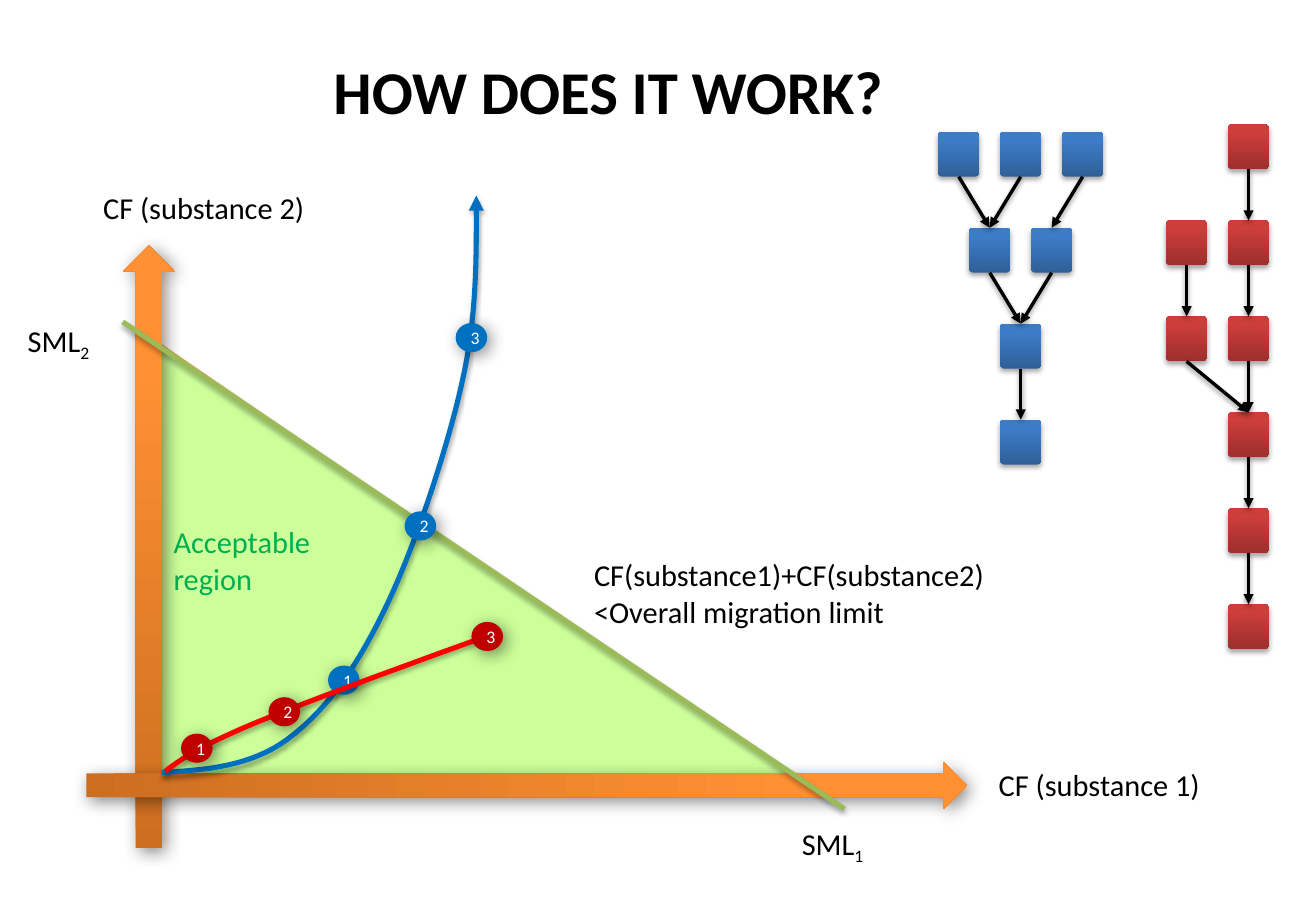
from dataclasses import dataclass

from lxml import etree
from pptx import Presentation
from pptx.dml.color import RGBColor
from pptx.enum.shapes import MSO_CONNECTOR, MSO_SHAPE
from pptx.enum.text import MSO_ANCHOR, MSO_AUTO_SIZE, PP_ALIGN
from pptx.oxml.ns import qn
from pptx.util import Inches, Pt

STRAIGHT = MSO_CONNECTOR.STRAIGHT
UP_ARROW, ELLIPSE = MSO_SHAPE.UP_ARROW, MSO_SHAPE.OVAL
ROUNDED = MSO_SHAPE.ROUNDED_RECTANGLE
MIDDLE, TOP = MSO_ANCHOR.MIDDLE, MSO_ANCHOR.TOP
FIT_SHAPE, FIXED = MSO_AUTO_SIZE.SHAPE_TO_FIT_TEXT, MSO_AUTO_SIZE.NONE
LEFT, CENTER = PP_ALIGN.LEFT, PP_ALIGN.CENTER
BOTTOM_SITE, TOP_SITE = 2, 0

COLUMNS, ROWS = 108.3, 75
CELL = Inches(0.1)
CURVE_STEPS = 16


@dataclass(frozen=True)
class Theme:
    font: str = "Calibri"
    title: float = 36
    label: float = 18
    number: float = 10.5
    thick: float = 3
    arrow: float = 2
    thin: float = 0.75
    ink: str = "000000"
    white: str = "FFFFFF"
    region: str = "CCFF99"
    region_edge: str = "F69240"
    region_text: str = "00B050"
    limit: str = "9BBB59"
    blue: str = "0070C0"
    red: str = "FF0000"
    dark_red: str = "C00000"
    axis: tuple = ("CC6E20", "FF9034")
    blue_box: tuple = ("2F5F99", "3D7CC7")
    red_box: tuple = ("9C2F2D", "CB3E3A")
    soft_shadow: tuple = (35, 3.1, 1.8, 90)
    arrow_shadow: tuple = (38, 3.1, 1.6, 90)
    deep_shadow: tuple = (45, 10, 3, 45)


THEME = Theme()


def grid(*cells):
    return [round(cell * CELL) for cell in cells]


def apply(target, values):
    for name, value in values.items():
        setattr(target, name, value)


def write_text(frame, lines, size, color, align=LEFT, bold=False, subscript=""):
    frame.text = "\n".join(lines)
    if subscript:
        low = frame.paragraphs[-1].add_run()
        low.text = subscript
        low._r.get_or_add_rPr().set("baseline", "-25000")
    for para in frame.paragraphs:
        para.alignment = align
        for span in para.runs:
            apply(span.font, {"name": THEME.font, "size": Pt(size), "bold": bold})
            span.font.color.rgb = RGBColor.from_string(color)


def set_line(shape, color, width, arrow=False):
    shape.line.width = Pt(width)
    shape.line.fill.solid()
    shape.line.color.rgb = RGBColor.from_string(color)
    if arrow:
        etree.SubElement(shape.line._get_or_add_ln(), qn("a:tailEnd"), type="triangle")


def set_fill(shape, color):
    shape.fill.solid()
    shape.fill.fore_color.rgb = RGBColor.from_string(color)


def set_gradient(shape, colors):
    shape.fill.gradient()
    shape.fill.gradient_angle = 90
    for stop, color, position in zip(shape.fill.gradient_stops, colors, (0, 0.8)):
        stop.color.rgb = RGBColor.from_string(color)
        stop.position = position


def set_shadow(shape, shadow):
    opacity, blur, distance, angle = shadow
    effects = etree.SubElement(shape._element.spPr, qn("a:effectLst"))
    outer = etree.SubElement(
        effects, qn("a:outerShdw"), blurRad=str(Pt(blur)), dist=str(Pt(distance)),
        dir=str(angle * 60000), rotWithShape="0")
    color = etree.SubElement(outer, qn("a:srgbClr"), val=THEME.ink)
    etree.SubElement(color, qn("a:alpha"), val=str(opacity * 1000))


def add_title(page, text):
    title = page.shapes.title
    apply(title, dict(zip(("left", "top", "width", "height"), grid(1.3, 4.4, 97.5, 6.1))))
    apply(title.text_frame, {"auto_size": FIXED, "vertical_anchor": MIDDLE})
    write_text(title.text_frame, [text], THEME.title, THEME.ink, CENTER, True)


def add_label(page, spot, lines, subscript=""):
    frame = page.shapes.add_textbox(*grid(*spot)).text_frame
    apply(frame, {"word_wrap": False, "auto_size": FIT_SHAPE, "vertical_anchor": TOP})
    write_text(frame, lines, THEME.label, THEME.ink, subscript=subscript)


def add_axis(page, spot, rotation=0):
    axis = page.shapes.add_shape(UP_ARROW, *grid(*spot))
    axis.rotation = rotation
    set_gradient(axis, THEME.axis)
    axis.line.fill.background()
    set_shadow(axis, THEME.deep_shadow)


def add_region(page, corners, lines):
    builder = page.shapes.build_freeform(*grid(*corners[0]))
    builder.add_line_segments([grid(*corner) for corner in corners[1:]], close=True)
    region = builder.convert_to_shape()
    set_fill(region, THEME.region)
    set_line(region, THEME.region_edge, THEME.thin)
    set_shadow(region, THEME.soft_shadow)
    region.text_frame.vertical_anchor = MIDDLE
    write_text(region.text_frame, lines, THEME.label, THEME.region_text)


def bezier(knots, share):
    rest = 1 - share
    weights = (rest ** 3, 3 * rest ** 2 * share, 3 * rest * share ** 2, share ** 3)
    return grid(*(sum(w * v for w, v in zip(weights, axis)) for axis in zip(*knots)))


def add_curve(page, knots, color, arrow=False):
    builder = page.shapes.build_freeform(*grid(*knots[0]))
    builder.add_line_segments(
        [bezier(knots[start:start + 4], step / CURVE_STEPS)
         for start in range(0, len(knots) - 1, 3)
         for step in range(1, CURVE_STEPS + 1)], close=False)
    curve = builder.convert_to_shape()
    curve.fill.background()
    set_line(curve, color, THEME.thick, arrow)
    set_shadow(curve, THEME.soft_shadow)


def add_markers(page, spots, color):
    for number, (column, row) in enumerate(spots, 1):
        marker = page.shapes.add_shape(ELLIPSE, *grid(column, row, 2.6, 2.4))
        set_fill(marker, color)
        marker.line.fill.background()
        set_shadow(marker, THEME.deep_shadow)
        write_text(marker.text_frame, [str(number)], THEME.number, THEME.white, CENTER)


def add_tree(page, origin, nodes, links, colors):
    half_pitch, level_pitch, width, height = 2.55, 7.9, 3.4, 3.7
    boxes = []
    for step, level in nodes:
        box = page.shapes.add_shape(ROUNDED, *grid(
            origin[0] + step * half_pitch, origin[1] + level * level_pitch, width, height))
        box.adjustments[0] = 0.1
        set_gradient(box, colors)
        box.line.fill.background()
        set_shadow(box, THEME.soft_shadow)
        boxes.append(box)
    for upper, lower in links:
        link = page.shapes.add_connector(STRAIGHT, 0, 0, 0, 0)
        link.begin_connect(boxes[upper], BOTTOM_SITE)
        link.end_connect(boxes[lower], TOP_SITE)
        set_line(link, THEME.ink, THEME.arrow, True)
        set_shadow(link, THEME.arrow_shadow)


def main():
    deck = Presentation()
    deck.slide_width, deck.slide_height = grid(COLUMNS, ROWS)
    page = deck.slides.add_slide(deck.slide_layouts[5])
    add_region(page, [(13.3, 28.4), (39, 46), (65.4, 63.8), (13.3, 63.7)],
               ["Acceptable", "region"])
    add_title(page, "HOW DOES IT WORK?")
    add_axis(page, (10.1, 20.2, 4.3, 49.6))
    add_axis(page, (41.4, 28.4, 3.9, 72.5), 90)
    add_label(page, (7.5, 15.1, 18.8, 4), ["CF (substance 2)"])
    add_label(page, (81.2, 62.6, 18.8, 4), ["CF (substance 1)"])
    limit = page.shapes.add_connector(STRAIGHT, *grid(69.5, 66.6, 10.1, 26.5))
    set_line(limit, THEME.limit, THEME.thick)
    set_shadow(limit, THEME.soft_shadow)
    add_label(page, (1.3, 26, 7.3, 4), ["SML"], "2")
    add_label(page, (65, 67.4, 7.3, 4), ["SML"], "1")
    add_tree(page, (95.95, 10.25),
             [(2, 0), (0, 1), (2, 1), (0, 2), (2, 2), (2, 3), (2, 4), (2, 5)],
             [(0, 2), (1, 3), (2, 4), (3, 5), (4, 5), (5, 6), (6, 7)], THEME.red_box)
    add_tree(page, (77.2, 10.85),
             [(0, 0), (2, 0), (4, 0), (1, 1), (3, 1), (2, 2), (2, 3)],
             [(0, 3), (1, 3), (2, 4), (3, 5), (4, 5), (5, 6)], THEME.blue_box)
    add_curve(page, [(13.3, 63.6), (16.9, 63.4), (20.6, 63.1), (23.6, 60.9),
                     (26.6, 58.7), (29.1, 55.4), (31.5, 50.5), (33.9, 45.7),
                     (36.7, 37.4), (38, 31.6), (39.3, 25.9), (39.2, 21), (39.2, 16.1)],
              THEME.blue, True)
    add_markers(page, [(27, 54.8), (33.3, 42.1), (37.5, 26.6)], THEME.blue)
    add_curve(page, [(13.6, 63.5), (14.9, 62.5), (16.3, 61.5), (20.8, 59.6),
                     (25.4, 57.7), (33.3, 54.8), (41.1, 52)], THEME.red)
    add_markers(page, [(14.9, 60.4), (22.1, 57.4), (38.8, 51.2)], THEME.dark_red)
    add_label(page, (47.9, 45.3, 34.5, 7.1),
              ["CF(substance1)+CF(substance2)", "<Overall migration limit"])
    deck.save("out.pptx")


if __name__ == "__main__":
    main()
